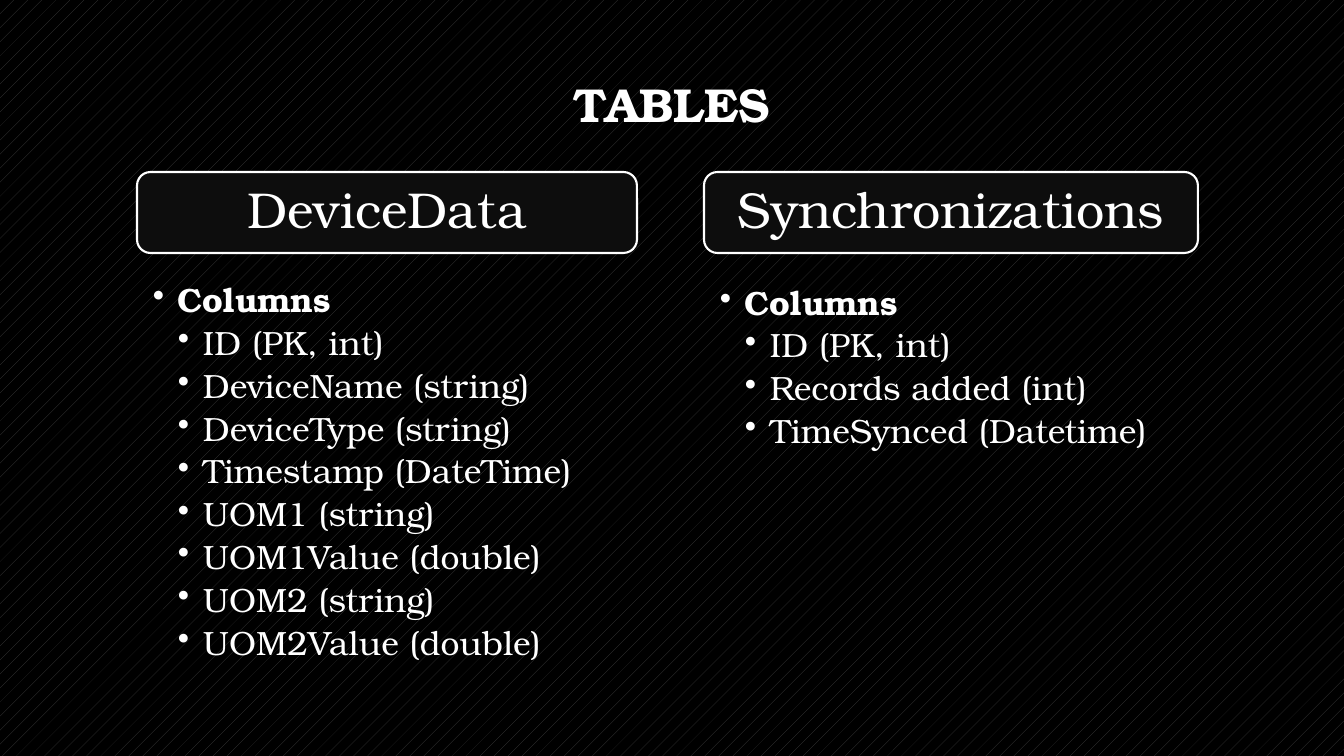
import pptx
import pptx.dml.color
import pptx.enum.dml
import pptx.enum.shapes
import pptx.enum.text
import pptx.oxml.ns
import pptx.util
import lxml.etree
from dataclasses import dataclass


@dataclass(frozen=True)
class Theme:
    font: str = "TeX Gyre Bonum"
    text: str = "FFFFFF"
    back: str = "000000"
    dots: str = "404040"
    card: str = "0D0D0D"
    title: int = 34
    head: int = 36
    body: int = 24


THEME = Theme()
TOP = 172
HEAD = 81
INDENT = 25
TABLES = [
    # name, left, width, list top, list height, columns
    ("DeviceData", 137, 500, 280, 430, [
        "ID (PK, int)", "DeviceName (string)", "DeviceType (string)",
        "Timestamp (DateTime)", "UOM1 (string)", "UOM1Value (double)",
        "UOM2 (string)", "UOM2Value (double)"]),
    ("Synchronizations", 704, 494, 283, 175, [
        "ID (PK, int)", "Records added (int)", "TimeSynced (Datetime)"]),
]


def px(num):
    return pptx.util.Emu(round(num * 914400 / 100.8))


def rgb(code):
    return pptx.dml.color.RGBColor.from_string(code)


def frame(shape, pads, middle=False):
    """Set wrapping, insets (left, top, right, bottom) and anchor."""
    text = shape.text_frame
    text.word_wrap = True
    text.auto_size = pptx.enum.text.MSO_AUTO_SIZE.NONE
    anchor = pptx.enum.text.MSO_ANCHOR
    text.vertical_anchor = anchor.MIDDLE if middle else anchor.TOP
    (text.margin_left, text.margin_top,
     text.margin_right, text.margin_bottom) = map(px, pads)
    return text


def write(para, words, size, bold=False, center=False, after=0):
    """Add one run; after is the gap below as a share of its size."""
    align = pptx.enum.text.PP_ALIGN
    para.alignment = align.CENTER if center else align.LEFT
    para.line_spacing = 0.9
    para.space_before = pptx.util.Pt(0)
    para.space_after = pptx.util.Pt(size * after)
    run = para.add_run()
    run.text = words
    run.font.name = THEME.font
    run.font.size = pptx.util.Pt(size)
    run.font.bold = bold
    run.font.color.rgb = rgb(THEME.text)


def bullet(para, level):
    para.level = level
    props = para._p.get_or_add_pPr()
    props.set("marL", str(px(INDENT * level)))
    props.set("indent", str(-px(INDENT)))
    mark = lxml.etree.SubElement(props, pptx.oxml.ns.qn("a:buChar"))
    mark.set("char", "•")


def add_title(slide, words):
    title = slide.shapes.title
    title.left, title.top, title.width, title.height = map(
        px, (0, 65, 1344, 85))
    text = frame(title, (10, 5, 10, 5), middle=True)
    write(text.paragraphs[0], words, THEME.title, bold=True, center=True)


def add_head(group, name, left, width):
    box = group.shapes.add_shape(
        pptx.enum.shapes.MSO_SHAPE.ROUNDED_RECTANGLE,
        px(left), px(TOP), px(width), px(HEAD))
    box.shadow.inherit = False
    box.fill.solid()
    box.fill.fore_color.rgb = rgb(THEME.card)
    box.line.color.rgb = rgb(THEME.text)
    box.line.width = pptx.util.Pt(1.5)
    text = frame(box, (19, 19, 19, 19), middle=True)
    write(text.paragraphs[0], name, THEME.head, center=True, after=0.35)


def add_list(group, left, top, width, height, items):
    box = group.shapes.add_textbox(px(left), px(top), px(width), px(height))
    text = frame(box, (16, 3, 19, 3))
    first = text.paragraphs[0]
    write(first, "Columns", THEME.body, bold=True, after=0.2)
    bullet(first, 1)
    for item in items:
        para = text.add_paragraph()
        write(para, item, THEME.body, after=0.2)
        bullet(para, 2)


def main():
    deck = pptx.Presentation()
    deck.slide_width, deck.slide_height = px(1344), px(756)
    slide = deck.slides.add_slide(deck.slide_layouts[5])
    fill = slide.background.fill
    fill.patterned()
    fill.pattern = pptx.enum.dml.MSO_PATTERN.PERCENT_5
    fill.fore_color.rgb = rgb(THEME.dots)
    fill.back_color.rgb = rgb(THEME.back)

    add_title(slide, "TABLES")
    for name, left, width, top, height, items in TABLES:
        group = slide.shapes.add_group_shape()
        add_head(group, name, left, width)
        add_list(group, left, top, width, height, items)
    deck.save("out.pptx")


if __name__ == "__main__":
    main()
